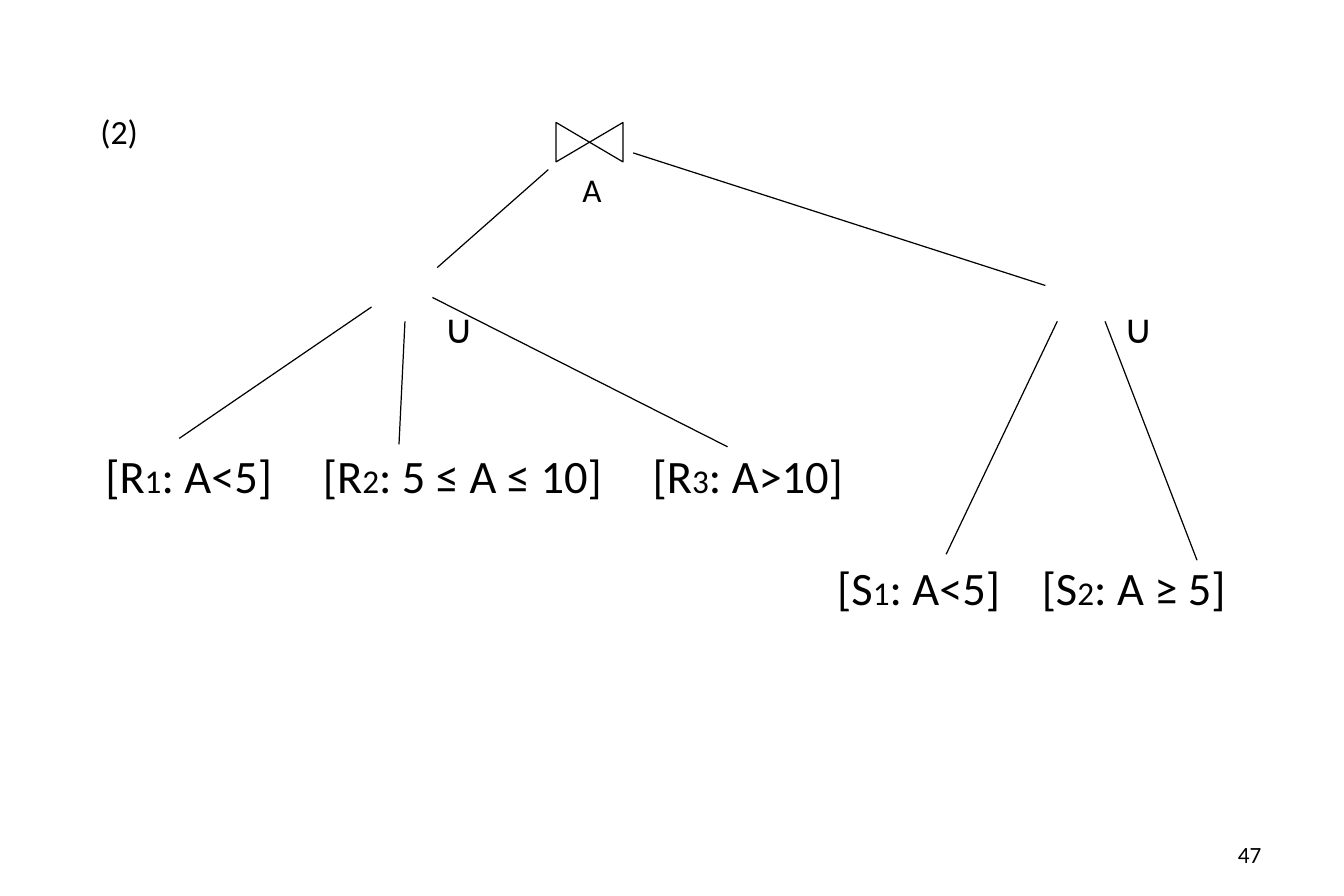
"""Build a slide with the query tree of a join over two partitioned relations."""
from dataclasses import dataclass

import pptx
import pptx.dml.color
import pptx.enum.shapes
import pptx.enum.text
import pptx.oxml
import pptx.util

Inches = pptx.util.Inches
ALIGN = pptx.enum.text.PP_ALIGN


@dataclass(frozen=True)
class Theme:
    """Colours, font and type sizes of the slide."""
    ink: pptx.dml.color.RGBColor = pptx.dml.color.RGBColor(0, 0, 0)
    paper: pptx.dml.color.RGBColor = pptx.dml.color.RGBColor(255, 255, 255)
    font: str = "Calibri"
    line: float = 0.75
    leaf: float = 28
    union: float = 24.2
    step: float = 20.4
    small: float = 20
    number: float = 14


THEME = Theme()


def add_label(shapes, box, pieces, align=ALIGN.CENTER):
    """Write (text, size) pieces on one line, centred vertically in the box."""
    shape = shapes.add_textbox(*(Inches(length) for length in box))
    frame = shape.text_frame
    frame.word_wrap = False
    frame.vertical_anchor = pptx.enum.text.MSO_ANCHOR.MIDDLE
    frame.margin_left = frame.margin_right = 0
    frame.margin_top = frame.margin_bottom = 0
    paragraph = frame.paragraphs[0]
    paragraph.alignment = align
    for text, size in pieces:
        run = paragraph.add_run()
        run.text = text
        run.font.name = THEME.font
        run.font.size = pptx.util.Pt(size)
        run.font.color.rgb = THEME.ink


def add_edge(slide, left, top, edge):
    """Draw one tree edge, given relative to the left and top of its region."""
    x1, y1, x2, y2 = edge
    ends = (left + x1, top + y1, left + x2, top + y2)
    line = slide.shapes.add_connector(
        pptx.enum.shapes.MSO_CONNECTOR.STRAIGHT, *(Inches(length) for length in ends))
    line.line.color.rgb = THEME.ink
    line.line.width = pptx.util.Pt(THEME.line)
    line._element.spPr.append(pptx.oxml.parse_xml(
        '<a:effectLst xmlns:a="http://schemas.openxmlformats.org/drawingml/2006/main"/>'))


def add_join(slide, left, top):
    """Place the join symbol, its attribute and the edges to both unions."""
    group = slide.shapes.add_group_shape()
    bowtie = group.shapes.add_shape(
        pptx.enum.shapes.MSO_SHAPE.FLOWCHART_COLLATE,
        Inches(left + 0.11), Inches(top), Inches(0.33), Inches(0.56))
    bowtie.rotation = 270
    bowtie.shadow.inherit = False
    bowtie.fill.solid()
    bowtie.fill.fore_color.rgb = THEME.paper
    bowtie.line.color.rgb = THEME.ink
    bowtie.line.width = pptx.util.Pt(THEME.line)
    add_label(group.shapes, (left + 0.11, top + 0.45, 0.37, 0.44), [("A", THEME.small)])
    for edge in ((-0.07, 0.51, -1, 1.33), (0.64, 0.37, 4.09, 1.48)):
        add_edge(slide, left, top, edge)


def add_union(slide, left, top, symbol_x, leaf_y, edges, leaves):
    """Place a union symbol, its edges and its row of (centre, name, condition) leaves."""
    add_label(slide.shapes, (left + symbol_x - 0.2, top + 0.05, 0.4, 0.4),
              [("∪", THEME.union)])
    for edge in edges:
        add_edge(slide, left, top, edge)
    for centre, name, condition in leaves:
        add_label(slide.shapes, (left + centre - 1.2, top + leaf_y, 2.4, 0.57),
                  [("[" + name[0], THEME.leaf), (name[1], THEME.small),
                   (": " + condition + "]", THEME.leaf)])


def main():
    """Build and save the slide."""
    presentation = pptx.Presentation()
    presentation.slide_width = Inches(11.25)
    presentation.slide_height = Inches(7.5)
    slide = presentation.slides.add_slide(presentation.slide_layouts[6])
    add_label(slide.shapes, (0.84, 0.9, 0.5, 0.4), [("(2)", THEME.step)], ALIGN.LEFT)
    add_join(slide, 4.66, 0.91)
    add_union(
        slide, 0.89, 2.49, symbol_x=2.95, leaf_y=1.2,
        edges=((2.22, 0.08, 0.61, 1.18), (2.5, 0.2, 2.45, 1.23), (2.73, 0, 5.2, 1.25)),
        leaves=((0.69, "R1", "A<5"), (2.98, "R2", "5 ≤ A ≤ 10"), (5.37, "R3", "A>10")))
    add_union(
        slide, 7.02, 2.49, symbol_x=2.51, leaf_y=2.14,
        edges=((1.83, 0.2, 0.9, 2.15), (2.23, 0.2, 3, 2.2)),
        leaves=((0.67, "S1", "A<5"), (2.47, "S2", "A ≥ 5")))
    add_label(slide.shapes, (8.06, 6.95, 2.5, 0.4), [("47", THEME.number)], ALIGN.RIGHT)
    presentation.save("out.pptx")


if __name__ == "__main__":
    main()
